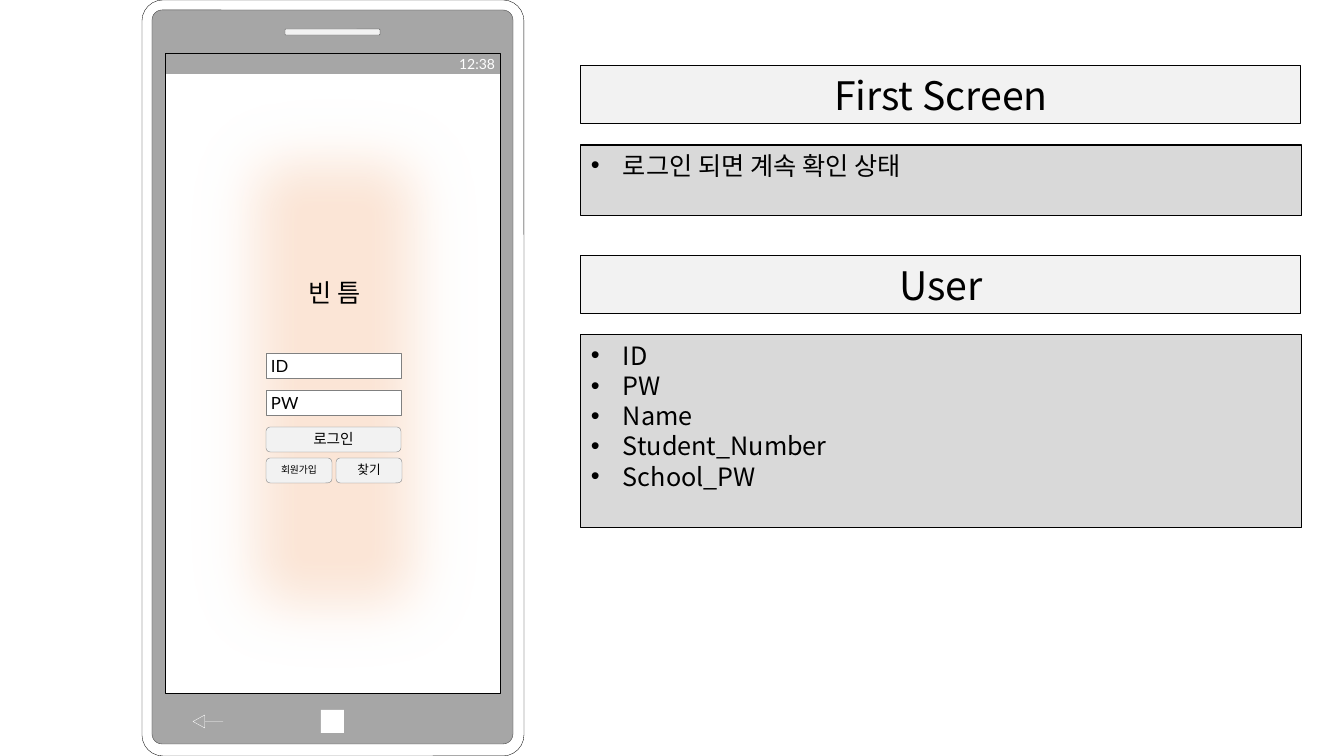
"""Build the login screen slide with its phone mockup and notes."""
from pptx import Presentation
from pptx.dml.color import RGBColor as Rgb
from pptx.enum.shapes import MSO_SHAPE as Kind
from pptx.enum.text import MSO_ANCHOR as Anchor, PP_ALIGN as Align
from pptx.oxml.ns import qn
from pptx.util import Pt
from lxml.etree import SubElement as Sub

SCALE = 914400 / 100.8
SANS, LATO = "Noto Sans CJK KR", "Lato"
HUES = {
    "white": "FFFFFF", "black": "000000", "ink": "0D0D0D", "dark": "404040",
    "mid": "808080", "body": "A6A6A6", "list": "D9D9D9", "pale": "F2F2F2",
    "peach": "FBE5D6",
}


def px(num):
    return round(num * SCALE)


def write(shape, text, size=18, face=SANS, hue="black", align=Align.LEFT,
          anchor=Anchor.MIDDLE, pad=(10, 5, 10, 5), wrap=True, dots=False):
    frame = shape.text_frame
    frame.word_wrap = wrap
    frame.vertical_anchor = anchor
    (frame.margin_left, frame.margin_top,
     frame.margin_right, frame.margin_bottom) = map(px, pad)
    frame.text = text
    for para in frame.paragraphs:
        para.alignment = align
        if face == SANS:
            para.line_spacing = Pt(round(size * 1.2, 1))
        if dots:
            props = para._p.get_or_add_pPr()
            props.set("marL", str(px(32)))
            props.set("indent", str(px(-32)))
            Sub(props, qn("a:buFont")).set("typeface", "Arial")
            Sub(props, qn("a:buChar")).set("char", "•")
        for run in para.runs:
            run.font.size = Pt(size)
            run.font.name = face
            run.font.color.rgb = Rgb.from_string(HUES[hue])
            Sub(run._r.get_or_add_rPr(), qn("a:ea")).set("typeface", SANS)


class Deck:
    def __init__(self):
        self.show = Presentation()
        self.show.slide_width, self.show.slide_height = px(1344), px(756)
        self.slide = self.show.slides.add_slide(self.show.slide_layouts[6])

    def shape(self, box, fill=None, line=None, width=0.25, kind=Kind.RECTANGLE,
              bend=()):
        item = self.slide.shapes.add_shape(kind, *map(px, box))
        item.shadow.inherit = False
        for spot, num in enumerate(bend):
            item.adjustments[spot] = num
        if fill:
            item.fill.solid()
            item.fill.fore_color.rgb = Rgb.from_string(HUES[fill])
        else:
            item.fill.background()
        if line:
            item.line.color.rgb = Rgb.from_string(HUES[line])
            item.line.width = Pt(width)
        else:
            item.line.fill.background()
        return item

    def round(self, box, fill, line, bend=0.17):
        return self.shape(box, fill, line, kind=Kind.ROUNDED_RECTANGLE,
                          bend=[bend])

    def clear(self, item, share):
        tint = item._element.spPr.find(qn("a:solidFill"))[0]
        Sub(tint, qn("a:alpha")).set("val", str(share * 1000))

    def soften(self, item, size):
        glow = item._element.spPr.find(qn("a:effectLst"))
        Sub(glow, qn("a:softEdge")).set("rad", str(Pt(size)))

    def phone(self):
        self.round((142, 0, 382, 756), "white", "ink", 0.055)
        self.round((152, 10, 361, 734), "body", "dark", 0.028)
        self.shape((165, 53, 335, 640), "white", "black")
        self.shape((193, 715, 30, 13), line="white", kind=Kind.LEFT_ARROW,
                   bend=(0, 0.91))
        self.shape((321, 710, 23, 23), "white")
        self.round((285, 29, 95, 6), "pale", "dark")
        bar = self.shape((165, 53, 335, 21), "black")
        self.clear(bar, 35)
        write(bar, "12:38", size=10, face=LATO, hue="white",
              align=Align.RIGHT, pad=(5, 5, 5, 5))

    def panel(self, text):
        item = self.shape((167, 74, 335, 619), "peach")
        self.soften(item, 50)
        write(item, text, align=Align.CENTER, pad=(10, 5, 10, 187))

    def field(self, top, text):
        item = self.shape((266, top, 135, 25), "white", "mid")
        write(item, text, size=12, face=LATO, pad=(5, 2, 5, 2), wrap=False)

    def button(self, left, top, width, text, size):
        item = self.round((left, top, width, 25), "pale", "mid")
        write(item, text, size=size, face=LATO, align=Align.CENTER,
              pad=(10, 0, 10, 1))

    def notes(self, top, tall, title, lines):
        head = self.shape((581, top, 720, 58), "pale", "black", 0.75)
        write(head, title, size=28, align=Align.CENTER)
        body = self.shape((581, top + 79, 721, tall), "list", "black", 0.75)
        write(body, "\n".join(lines), anchor=Anchor.TOP, dots=True)


deck = Deck()
deck.phone()
deck.panel("빈 틈")
for top, text in (353, "ID"), (390, "PW"):
    deck.field(top, text)
for left, top, width, text, size in (
        (266, 427, 135, "로그인", 10.5),
        (266, 458, 66, "회원가입", 7),
        (336, 458, 66, "찾기", 9)):
    deck.button(left, top, width, text, size)
deck.notes(66, 71, "First Screen", ["로그인 되면 계속 확인 상태"])
deck.notes(256, 193, "User",
           ["ID", "PW", "Name", "Student_Number", "School_PW"])
deck.show.save("out.pptx")
